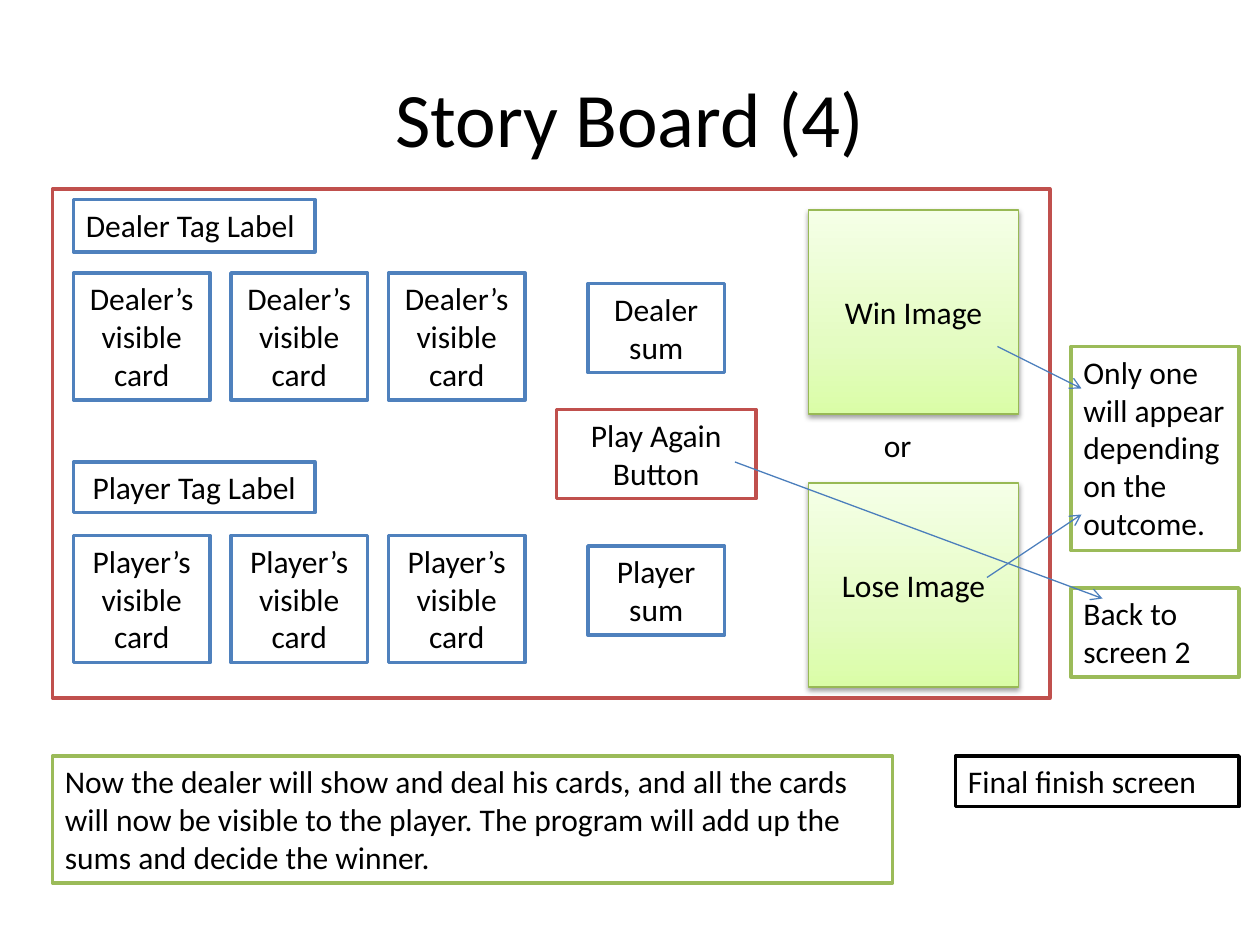
from copy import deepcopy

from lxml.etree import SubElement
from pptx import Presentation
from pptx.dml.color import RGBColor
from pptx.enum.shapes import MSO_CONNECTOR, MSO_SHAPE
from pptx.enum.text import MSO_ANCHOR, PP_ALIGN
from pptx.oxml.ns import qn
from pptx.util import Pt

FONT = "Calibri"
COLORS = {
    "black": "000000", "white": "FFFFFF", "red": "C0504D", "green": "9BBB59",
    "blue": "4F81BD", "arrow": "4B7EBC", "image_edge": "98B955",
}
IMAGE_STOPS = [(0, "DAFDA7"), (0.35, "E4FCC2"), (1, "F5FFE7")]
LEFT, CENTER = PP_ALIGN.LEFT, PP_ALIGN.CENTER

# Content: lengths in points, boxes as left, top, width, height
TITLE = ("Story Board (4)", (36, 21.6, 648, 90))
SCREEN = (30, 108, 570, 291)
HANDS = [  # person, label alignment, label height, top of band
    ("Dealer", LEFT, 30, 114),
    ("Player", CENTER, 29, 264),
]
CARD_COUNT, CARD_LEFT, CARD_PITCH = 3, 42, 90
NOTES = [  # text, line colour, alignment, box
    ("Now the dealer will show and deal his cards, and all the cards will now "
     "be visible to the player. The program will add up the sums and decide "
     "the winner.", "green", LEFT, (30, 432, 480, 72.7)),
    ("Final finish screen", "black", LEFT, (546, 432, 162, 29)),
    ("Only one will appear depending on the outcome.", "green", LEFT,
     (612, 198, 96, 116.6)),
    ("Play Again Button", "red", CENTER, (318, 234, 114, 51)),
    ("Back to screen 2", "green", LEFT, (612, 336, 96, 51)),
]
IMAGES = [("Win Image", 120), ("Lose Image", 276)]
OR_LABEL = ("or", (498, 240, 66, 29))
ARROWS = [
    ((570, 198), (618, 222)),
    ((564, 330), (618, 294)),
    ((420, 264), (630, 342)),
]


def rgb(name):
    return RGBColor.from_string(COLORS[name])


def write(shape, text, align=LEFT, size=18, anchor=MSO_ANCHOR.TOP):
    frame = shape.text_frame
    frame.word_wrap = True
    frame.vertical_anchor = anchor
    paragraph = frame.paragraphs[0]
    paragraph.alignment = align
    run = paragraph.add_run()
    run.text = text
    run.font.name, run.font.size = FONT, Pt(size)
    run.font.color.rgb = rgb("black")


def add_box(slide, box, line, width=2):
    shape = slide.shapes.add_shape(MSO_SHAPE.RECTANGLE, *map(Pt, box))
    shape.shadow.inherit = False
    shape.fill.solid()
    shape.fill.fore_color.rgb = rgb("white")
    shape.line.color.rgb = rgb(line)
    shape.line.width = Pt(width)
    return shape


def add_image_panel(slide, text, top):
    panel = add_box(slide, (462, top, 120, 116.6), "image_edge", 0.75)
    write(panel, text, CENTER, anchor=MSO_ANCHOR.MIDDLE)
    # Three-stop gradient running upwards
    panel.fill.gradient()
    panel.fill.gradient_angle = 90
    stop_list = panel._element.spPr.find(".//" + qn("a:gsLst"))
    stop_list.insert(1, deepcopy(stop_list[0]))
    for stop, (position, color) in zip(panel.fill.gradient_stops, IMAGE_STOPS):
        stop.position = position
        stop.color.rgb = RGBColor.from_string(color)
    # Soft shadow below
    effects = panel._element.spPr.find(qn("a:effectLst"))
    shadow = SubElement(effects, qn("a:outerShdw"), blurRad=str(Pt(3.1)),
                        dist=str(Pt(1.6)), dir="5400000", rotWithShape="0")
    color = SubElement(shadow, qn("a:srgbClr"), val=COLORS["black"])
    SubElement(color, qn("a:alpha"), val="38000")


def add_arrow(slide, start, end):
    arrow = slide.shapes.add_connector(MSO_CONNECTOR.STRAIGHT,
                                       *map(Pt, start + end))
    arrow.line.color.rgb = rgb("arrow")
    arrow.line.width = Pt(0.75)
    SubElement(arrow.line._get_or_add_ln(), qn("a:tailEnd"), type="arrow")
    SubElement(arrow._element.spPr, qn("a:effectLst"))


def main():
    deck = Presentation()
    deck.slide_width, deck.slide_height = Pt(720), Pt(540)
    slide = deck.slides.add_slide(deck.slide_layouts[5])

    # Title
    title, (left, top, width, height) = TITLE
    heading = slide.shapes.title
    heading.left, heading.top = Pt(left), Pt(top)
    heading.width, heading.height = Pt(width), Pt(height)
    write(heading, title, CENTER, 44, MSO_ANCHOR.MIDDLE)

    # Game screen with a band for each hand
    add_box(slide, SCREEN, "red")
    for person, align, label_height, top in HANDS:
        label = add_box(slide, (CARD_LEFT, top, 138, label_height), "blue")
        write(label, f"{person} Tag Label", align)
        for i in range(CARD_COUNT):
            card_box = (CARD_LEFT + i * CARD_PITCH, top + 42, 78, 72.7)
            write(add_box(slide, card_box, "blue"),
                  f"{person}’s visible card", CENTER)
        write(add_box(slide, (336, top + 48, 78, 51), "blue"),
              f"{person} sum", CENTER)

    # Outcome images
    for text, top in IMAGES:
        add_image_panel(slide, text, top)
    text, box = OR_LABEL
    write(slide.shapes.add_textbox(*map(Pt, box)), text)

    # Notes, button and arrows
    for text, line, align, box in NOTES:
        write(add_box(slide, box, line), text, align)
    for start, end in ARROWS:
        add_arrow(slide, start, end)

    deck.save("out.pptx")


if __name__ == "__main__":
    main()
